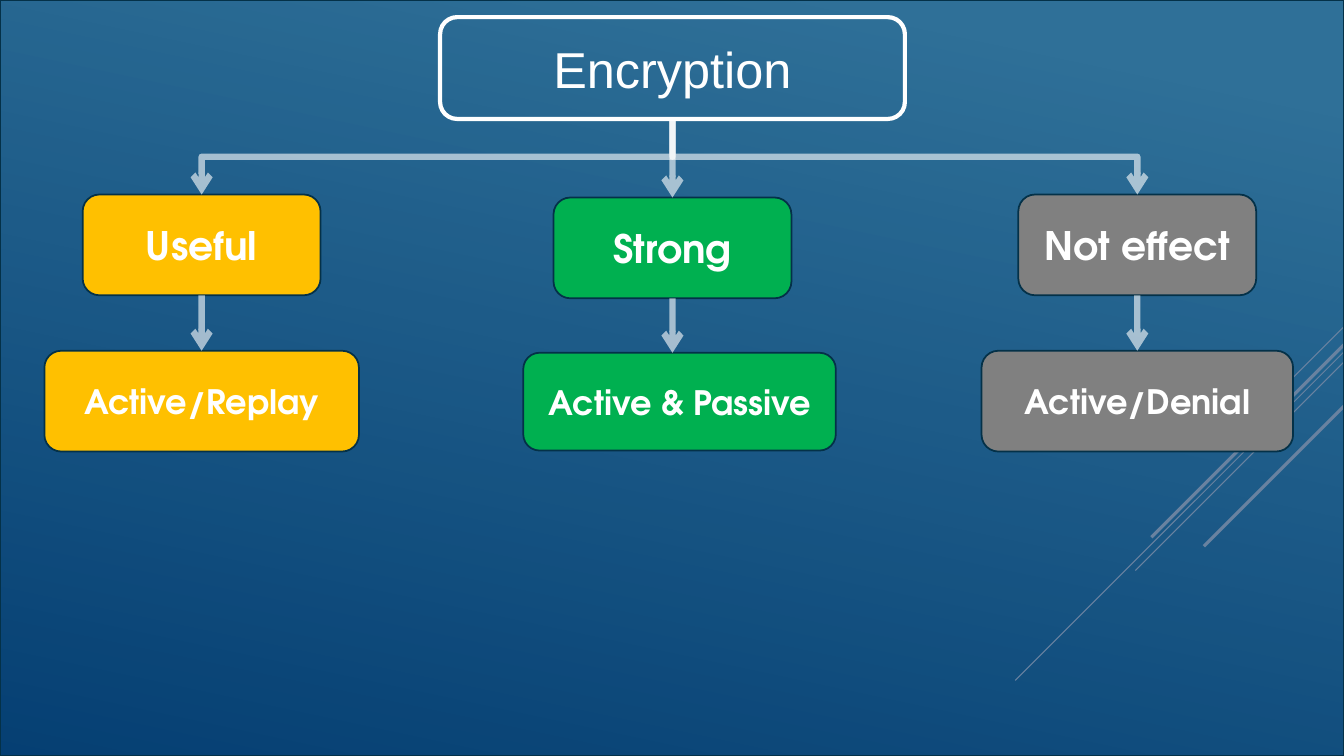
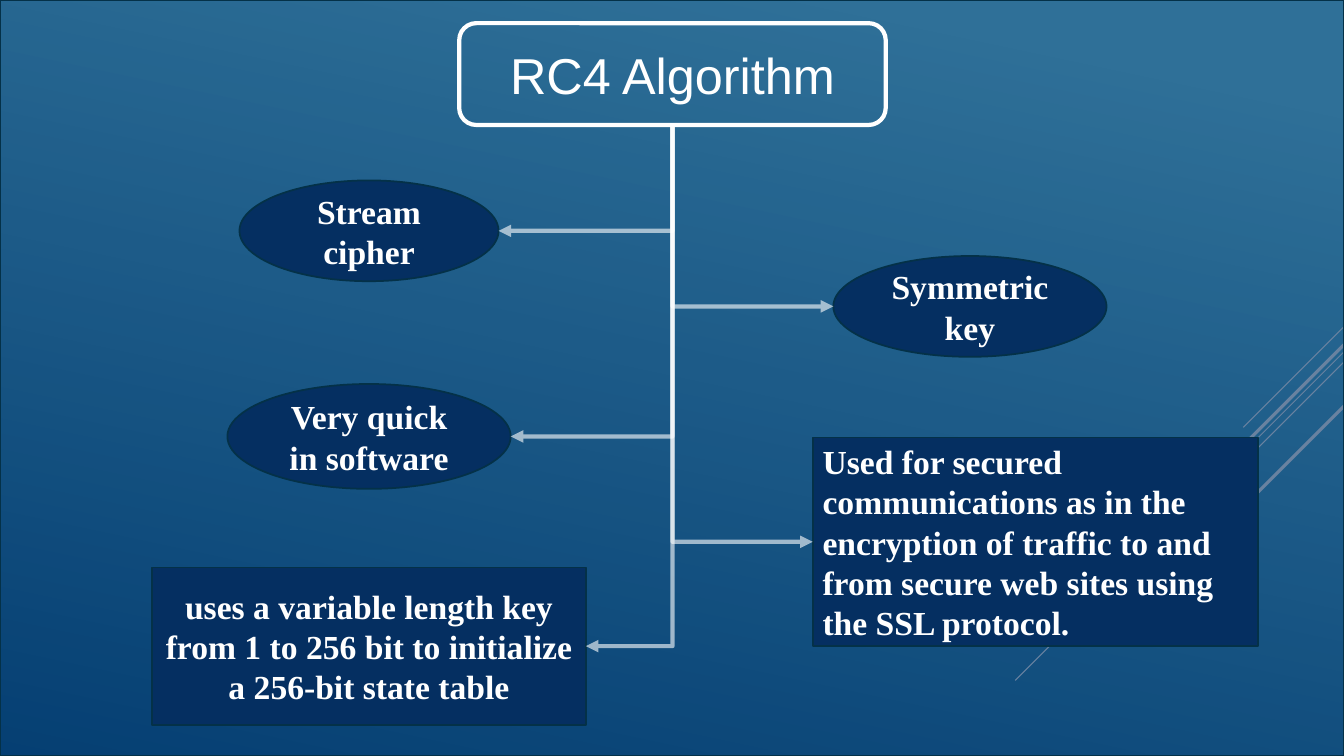
import pptx
import pptx.dml.color
import pptx.enum.shapes
import pptx.enum.text
import pptx.oxml.ns
import pptx.util
from lxml import etree

Inches = pptx.util.Inches
SHAPES = pptx.enum.shapes.MSO_SHAPE
CONNECTORS = pptx.enum.shapes.MSO_CONNECTOR
ALIGN = pptx.enum.text.PP_ALIGN
TOP, LEFT, BOTTOM, RIGHT = range(4)
ELLIPSE_SITES = {LEFT: 2, RIGHT: 6}

COLOURS = {
    "white": "FFFFFF",
    "navy": "052F61",
    "edge": "043148",
    "sky": "6ED2EB",
    "sea": "06588E",
    "amber": "FFC000",
    "green": "00B050",
    "grey": "808080",
}
FORMATS = {
    "title": {"name": "Arial", "size": pptx.util.Pt(36), "bold": False},
    "verdict": {"name": "TeX Gyre Adventor", "size": pptx.util.Pt(28), "bold": True},
    "attack": {"name": "TeX Gyre Adventor", "size": pptx.util.Pt(24), "bold": True},
    "fact": {"name": "Times New Roman", "size": pptx.util.Pt(24), "bold": True},
}
# Right-edge height, horizontal run and weight of each 45-degree streak
STREAKS = [
    (3.24, 1.0, 0.75),
    (3.49, 3.26, 0.75),
    (3.59, 2.07, 0.75),
    (3.42, 1.91, 2.25),
    (4.03, 1.39, 2.25),
]
WIDTH, HEIGHT = 13.33, 7.5
MIDDLE = 6.67


def colour(name):
    return pptx.dml.color.RGBColor.from_string(COLOURS[name])


def add_child(parent, tag, **attributes):
    child = etree.SubElement(parent, pptx.oxml.ns.qn(tag))
    for name, value in attributes.items():
        child.set(name, str(value))


def set_opacity(fill_parent, percent):
    """Make the solid fill inside an element partly transparent."""
    add_child(fill_parent.find(".//" + pptx.oxml.ns.qn("a:srgbClr")),
              "a:alpha", val=percent * 1000)


class Deck:
    def __init__(self):
        self.presentation = pptx.Presentation()
        self.presentation.slide_width = Inches(WIDTH)
        self.presentation.slide_height = Inches(HEIGHT)
        self.slide = None
        fill = self.presentation.slide_master.background.fill
        fill.gradient()
        fill.gradient_angle = 258
        for stop, position, name in zip(fill.gradient_stops, (0.1, 1), ("sky", "sea")):
            stop.position = position
            stop.color.rgb = colour(name)

    def new_slide(self, title, top, width):
        """Start a slide and return the frame of its title."""
        self.slide = self.presentation.slides.add_slide(self.presentation.slide_layouts[5])
        for right_height, run, weight in STREAKS:
            self.line(CONNECTORS.STRAIGHT, (WIDTH, right_height),
                      (WIDTH - run, right_height + run), weight)
        veil = self.box(SHAPES.RECTANGLE, WIDTH / 2, 0, WIDTH, HEIGHT, "navy")
        set_opacity(veil._element.spPr.find(pptx.oxml.ns.qn("a:solidFill")), 60)
        frame = self.box(SHAPES.ROUNDED_RECTANGLE, MIDDLE, top, width, 1.01, None, "white", 3)
        placeholder = self.slide.shapes.title
        frame._element.addnext(placeholder._element)
        for name in ("left", "top", "width", "height"):
            setattr(placeholder, name, getattr(frame, name))
        self.set_text(placeholder, title, "title")
        return frame

    def set_text(self, shape, text, style, align=ALIGN.CENTER):
        frame = shape.text_frame
        frame.text = text
        frame.word_wrap = True
        frame.auto_size = pptx.enum.text.MSO_AUTO_SIZE.NONE
        frame.vertical_anchor = pptx.enum.text.MSO_ANCHOR.MIDDLE
        paragraph = frame.paragraphs[0]
        paragraph.alignment = align
        for name, value in FORMATS[style].items():
            setattr(paragraph.font, name, value)
        paragraph.font.color.rgb = colour("white")

    def box(self, kind, centre, top, width, height, fill, edge="edge", weight=1.25):
        shape = self.slide.shapes.add_shape(
            kind, Inches(centre - width / 2), Inches(top), Inches(width), Inches(height))
        shape.shadow.inherit = False
        if fill:
            shape.fill.solid()
            shape.fill.fore_color.rgb = colour(fill)
        else:
            shape.fill.background()
        shape.line.color.rgb = colour(edge)
        shape.line.width = pptx.util.Pt(weight)
        return shape

    def line(self, kind, start, end, weight, head=None):
        """Draw a connector; one with an arrowhead is translucent."""
        connector = self.slide.shapes.add_connector(
            kind, *(Inches(value) for value in (*start, *end)))
        connector.line.color.rgb = colour("white")
        connector.line.width = pptx.util.Pt(weight)
        if head:
            outline = connector._element.spPr.find(pptx.oxml.ns.qn("a:ln"))
            set_opacity(outline, 60)
            add_child(outline, "a:tailEnd", type=head)
        add_child(connector._element.spPr, "a:effectLst")
        return connector

    def drop(self, upper, lower, weight=4.5, head="arrow"):
        """Draw a vertical arrow from one box down to the next."""
        x = (upper.left + upper.width / 2) / Inches(1)
        connector = self.line(CONNECTORS.STRAIGHT, (x, (upper.top + upper.height) / Inches(1)),
                              (x, lower.top / Inches(1)), weight, head)
        connector.begin_connect(upper, BOTTOM)
        if abs(lower.left + lower.width / 2 - Inches(x)) < Inches(0.02):
            connector.end_connect(lower, TOP)

    def elbow(self, upper, lower, side, weight, head):
        """Draw an arrow that leaves a box downwards and bends into a side of another."""
        start_x, start_y = upper.left + upper.width // 2, upper.top + upper.height
        end_x, end_y = {
            TOP: (lower.left + lower.width // 2, lower.top),
            LEFT: (lower.left, lower.top + lower.height // 2),
            RIGHT: (lower.left + lower.width, lower.top + lower.height // 2),
        }[side]
        connector = self.line(CONNECTORS.ELBOW, (0, 0), (1, 1), weight, head)
        connector.begin_connect(upper, BOTTOM)
        if lower.auto_shape_type == SHAPES.OVAL:
            joint = connector._element.nvCxnSpPr.cNvCxnSpPr.get_or_add_endCxn()
            joint.id, joint.idx = lower.shape_id, ELLIPSE_SITES[side]
        else:
            connector.end_connect(lower, side)
        if side != TOP:
            geometry = connector._element.spPr.find(pptx.oxml.ns.qn("a:prstGeom"))
            geometry.set("prst", "bentConnector2")
        # The unturned box lies on its side, centred between the two ends
        rightwards = end_x > start_x
        length, span = end_y - start_y, abs(end_x - start_x)
        placement = {
            "left": (start_x + end_x - length) // 2,
            "top": (start_y + end_y - span) // 2,
            "width": length,
            "height": span,
        }
        for name, value in placement.items():
            setattr(connector, name, value)
        transform = connector._element.spPr.find(pptx.oxml.ns.qn("a:xfrm"))
        transform.set("rot", str((270 if rightwards else 90) * 60000))
        transform.set("flipH", str(int(rightwards)))
        transform.set("flipV", "0")


def encryption_slide(deck):
    title = deck.new_slide("Encryption", 0.17, 4.61)
    # Fill, verdict (centre, top), attack (centre, top, width, height)
    columns = [
        ("amber", "Useful", (2, 1.93), "Active/Replay", (2, 3.48, 3.12, 1)),
        ("green", "Strong", (MIDDLE, 1.96), "Active & Passive", (6.74, 3.5, 3.1, 0.97)),
        ("grey", "Not effect", (11.28, 1.93), "Active/Denial", (11.28, 3.48, 3.09, 1)),
    ]
    for fill, verdict, verdict_place, attack, attack_place in columns:
        upper = deck.box(SHAPES.ROUNDED_RECTANGLE, *verdict_place, 2.36, 1, fill)
        deck.set_text(upper, verdict, "verdict")
        lower = deck.box(SHAPES.ROUNDED_RECTANGLE, *attack_place, fill)
        deck.set_text(lower, attack, "attack")
        if verdict_place[0] == MIDDLE:
            deck.drop(title, upper)
        else:
            deck.elbow(title, upper, TOP, 4.5, "arrow")
        deck.drop(upper, lower)


def algorithm_slide(deck):
    title = deck.new_slide("RC4 Algorithm", 0.23, 4.23)
    facts = [
        ("Stream cipher", SHAPES.OVAL, (3.66, 1.79, 2.57, 1), RIGHT, ALIGN.CENTER),
        ("Symmetric key", SHAPES.OVAL, (9.62, 2.54, 2.71, 1), LEFT, ALIGN.CENTER),
        ("Very quick in software", SHAPES.OVAL, (3.66, 3.81, 2.81, 1.04), RIGHT, ALIGN.CENTER),
        ("uses a variable length key from 1 to 256 bit to initialize a 256-bit state table",
         SHAPES.RECTANGLE, (3.66, 5.63, 4.3, 1.56), RIGHT, ALIGN.CENTER),
        ("Used for secured communications as in the encryption of traffic to and from "
         "secure web sites using the SSL protocol.",
         SHAPES.RECTANGLE, (10.27, 4.34, 4.42, 2.07), LEFT, ALIGN.LEFT),
    ]
    for text, kind, place, side, align in facts:
        shape = deck.box(kind, *place, "navy")
        deck.set_text(shape, text, "fact", align)
        deck.elbow(title, shape, side, 3, "triangle")


def main():
    deck = Deck()
    encryption_slide(deck)
    algorithm_slide(deck)
    deck.presentation.save("out.pptx")


if __name__ == "__main__":
    main()
